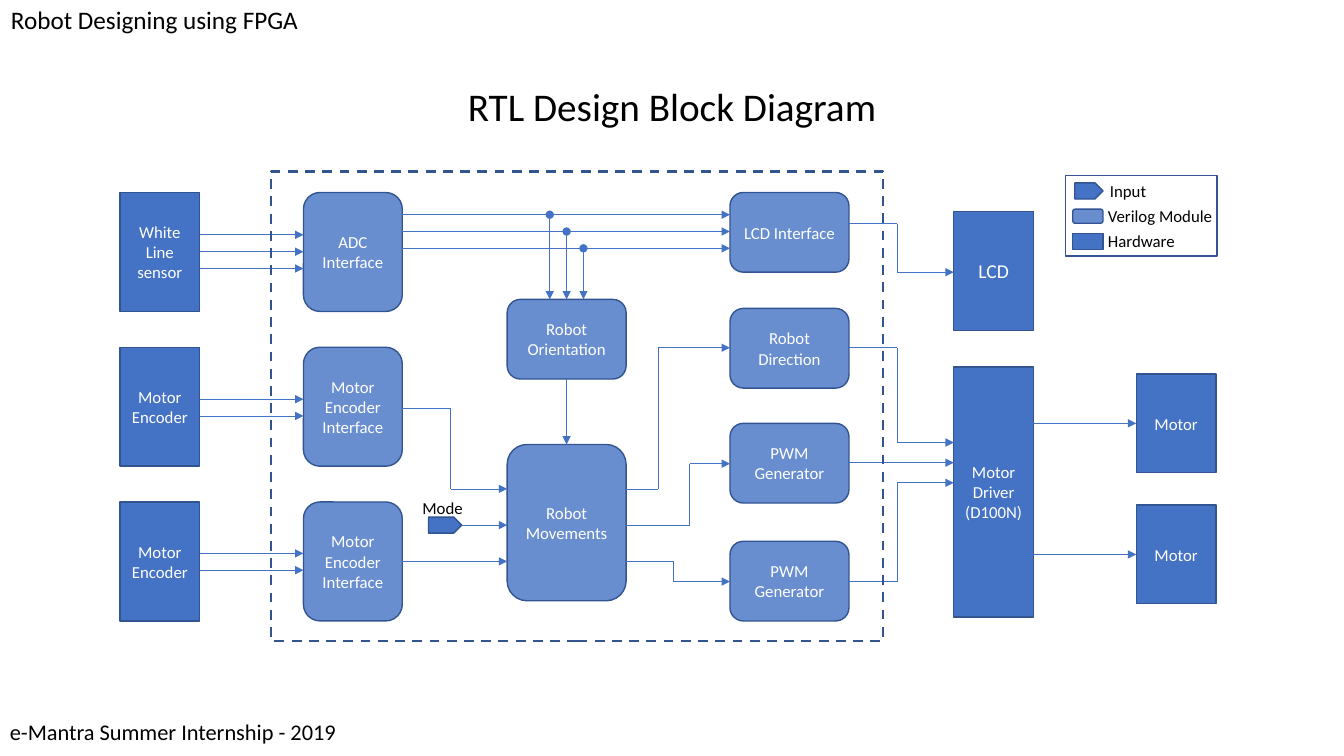
"""Build the RTL design block diagram slide of an FPGA robot."""
from lxml import etree
from pptx import Presentation
from pptx.dml.color import RGBColor
from pptx.enum.dml import MSO_LINE
from pptx.enum.shapes import MSO_CONNECTOR, MSO_SHAPE
from pptx.enum.text import MSO_ANCHOR, PP_ALIGN
from pptx.oxml.ns import qn
from pptx.util import Inches, Pt

COLORS = {"block": "4472C4", "edge": "325491", "light": "FFFFFF", "dark": "000000"}
RGB = {name: RGBColor.from_string(value) for name, value in COLORS.items()}
FONT = "Calibri"
HARDWARE, MODULE, INPUT = MSO_SHAPE.RECTANGLE, MSO_SHAPE.ROUNDED_RECTANGLE, MSO_SHAPE.PENTAGON

WIDTH, HEIGHT = 13.33, 7.5
SENSOR, INTERFACE, CORE, OUTPUT, DRIVER, MOTOR = 1.19, 3.01, 5.03, 7.24, 9.46, 11.27
NARROW, MEDIUM, WIDE = 0.79, 0.98, 1.18
SHORT, TALL = 0.79, 1.18
TOP, ROW_STEP, WIRE_STEP = 1.91, 1.535, 0.167
ROWS = [TOP + ROW_STEP * i for i in range(3)]
OUTPUT_ROWS = [TOP, 3.06, 4.2, 5.37]
MOTOR_ROWS = [3.71, 5.01]
LEGEND_LEFT, LEGEND_TOP, LEGEND_STEP = 10.57, 1.74, 0.25

prs = Presentation()
prs.slide_width, prs.slide_height = Inches(WIDTH), Inches(HEIGHT)
slide = prs.slides.add_slide(prs.slide_layouts[6])


def block(kind, left, top, width, height, text="", size=12, filled=True, weight=1):
    shape = slide.shapes.add_shape(kind, *map(Inches, (left, top, width, height)))
    shape.shadow.inherit = False
    shape.line.color.rgb = RGB["edge"]
    shape.line.width = Pt(weight)
    if not filled:
        shape.fill.background()
        return shape
    shape.fill.solid()
    shape.fill.fore_color.rgb = RGB["block"]
    if kind == MODULE:
        color = shape.fill._xPr.find(qn("a:solidFill"))[0]
        etree.SubElement(color, qn("a:alpha"), val="80000")
    if text:
        frame = shape.text_frame
        frame.text = text
        frame.word_wrap = True
        frame.vertical_anchor = MSO_ANCHOR.MIDDLE
        for paragraph in frame.paragraphs:
            paragraph.alignment = PP_ALIGN.CENTER
            font = paragraph.runs[0].font
            font.name, font.size, font.color.rgb = FONT, Pt(size), RGB["light"]
    return shape


def wire(*points, dot=False):
    for start, end in zip(points, points[1:]):
        line = slide.shapes.add_connector(MSO_CONNECTOR.STRAIGHT, *map(Inches, start + end))
        line.line.color.rgb = RGB["block"]
        line.line.width = Pt(0.5)
        outline = line.line._get_or_add_ln()
        if dot:
            etree.SubElement(outline, qn("a:headEnd"), type="oval")
        if end == points[-1]:
            etree.SubElement(outline, qn("a:tailEnd"), type="triangle")
        etree.SubElement(line._element.spPr, qn("a:effectLst"))


sensors = ["White Line sensor", "Motor\nEncoder", "Motor\nEncoder"]
interfaces = ["ADC Interface", "Motor Encoder Interface", "Motor Encoder Interface"]
for top, sensor, interface in zip(ROWS, sensors, interfaces):
    block(HARDWARE, SENSOR, top, NARROW, TALL, sensor)
    block(MODULE, INTERFACE, top, MEDIUM, TALL, interface)

outputs = ["LCD Interface", "Robot Direction", "PWM Generator", "PWM Generator"]
for top, output in zip(OUTPUT_ROWS, outputs):
    block(MODULE, OUTPUT, top, WIDE, SHORT, output)

block(MODULE, CORE, 2.97, WIDE, SHORT, "Robot Orientation")
block(MODULE, CORE, 4.41, WIDE, 1.55, "Robot Movements")
block(HARDWARE, DRIVER, 2.1, NARROW, TALL, "LCD", size=14)
block(HARDWARE, DRIVER, 3.64, NARROW, 2.48, "Motor Driver\n(D100N)")
block(INPUT, 4.25, 5.13, 0.33, 0.16)

sensor_right, interface_right = SENSOR + NARROW, INTERFACE + MEDIUM
core_right, output_right, driver_right = CORE + WIDE, OUTPUT + WIDE, DRIVER + NARROW
core_middle = CORE + WIDE / 2

for first, count in [(2.33, 3), (3.96, 2), (5.49, 2)]:
    for i in range(count):
        y = first + WIRE_STEP * i
        wire((sensor_right, y), (INTERFACE, y))

for i in range(3):
    x, y = core_middle + WIRE_STEP * (i - 1), 2.13 + WIRE_STEP * i
    wire((interface_right, y), (OUTPUT, y))
    wire((x, y), (x, 2.97), dot=True)

wire((core_middle, 3.76), (core_middle, 4.41))
wire((4.58, 5.21), (CORE, 5.21))
wire((interface_right, 5.57), (CORE, 5.57))
wire((output_right, 4.59), (DRIVER, 4.59))

bent_wires = [
    (interface_right, 4.05, 4.47, CORE, 4.85),
    (core_right, 4.85, 6.53, OUTPUT, 3.45),
    (core_right, 5.21, 6.84, OUTPUT, 4.6),
    (core_right, 5.57, 6.68, OUTPUT, 5.77),
    (output_right, 2.22, 8.9, DRIVER, 2.7),
    (output_right, 3.45, 8.9, DRIVER, 4.39),
    (output_right, 5.77, 8.9, DRIVER, 4.79),
]
for left, start_y, bend, right, end_y in bent_wires:
    wire((left, start_y), (bend, start_y), (bend, end_y), (right, end_y))

for top in MOTOR_ROWS:
    block(HARDWARE, MOTOR, top, NARROW, MEDIUM, "Motor")
    wire((driver_right, top + MEDIUM / 2), (MOTOR, top + MEDIUM / 2))

boundary = block(HARDWARE, 2.69, 1.7, 6.07, 4.66, filled=False, weight=1.75)
boundary.line.dash_style = MSO_LINE.DASH
block(HARDWARE, LEGEND_LEFT, LEGEND_TOP, 1.5, 0.8, filled=False)

labels = [
    ("RTL Design Block Diagram", 0, 0.75, WIDTH, 0.65, 28),
    ("Robot Designing using FPGA", 0.01, 0.02, WIDTH, 0.39, 18),
    ("e-Mantra Summer Internship - 2019", 0, 7.08, WIDTH, 0.39, 16),
    ("Mode", 4.09, 4.89, 0.61, 0.3, 12),
]
legend = [
    (INPUT, "Input", 0.28, 0.16, 10.91),
    (MODULE, "Verilog Module", 0.3, 0.14, 10.89),
    (HARDWARE, "Hardware", 0.3, 0.16, 10.89),
]
for i, (kind, name, width, height, text_left) in enumerate(legend):
    row_top = LEGEND_TOP + LEGEND_STEP * i
    block(kind, 10.94 - width, row_top + 0.155 - height / 2, width, height)
    labels.append((name, text_left, row_top, 1.25, 0.3, 12))

for text, left, top, width, height, size in labels:
    frame = slide.shapes.add_textbox(*map(Inches, (left, top, width, height))).text_frame
    frame.word_wrap = text != "Mode"
    frame.text = text
    paragraph = frame.paragraphs[0]
    font = paragraph.runs[0].font
    font.name, font.size, font.color.rgb = FONT, Pt(size), RGB["dark"]
    if size > 12:
        frame.vertical_anchor = MSO_ANCHOR.MIDDLE
        paragraph.line_spacing = 0.9
    if size == 28:
        paragraph.alignment = PP_ALIGN.CENTER

prs.save("out.pptx")
